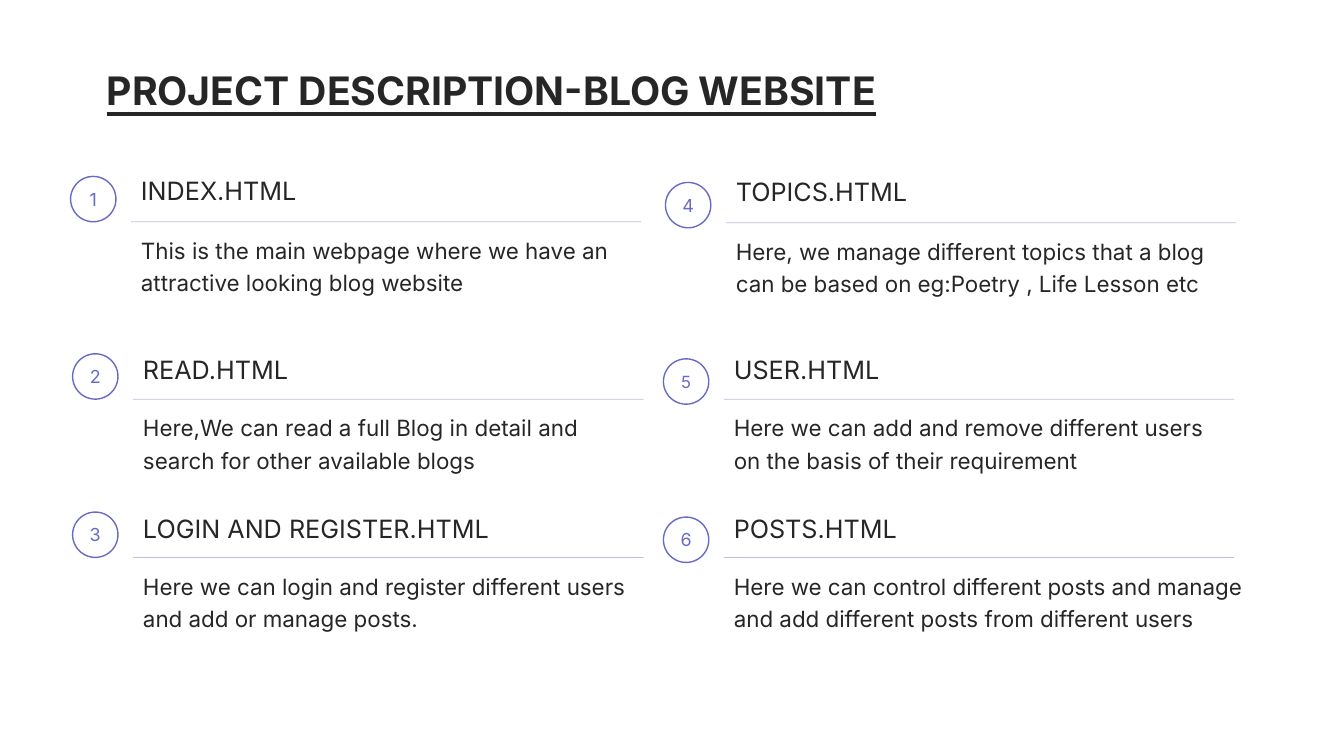
from lxml import etree
from pptx import Presentation
from pptx import util as u
from pptx.dml.color import RGBColor
from pptx.enum import shapes, text
from pptx.oxml import ns

PX = 9144
FONT = "Inter"
COLORS = {"ink": "262626", "accent": "6969C7", "paper": "FFFFFF"}
BADGE = 45
RULE_WIDTH = 506

SECTIONS = [
    dict(number=1, x=130, y=220, badge_rise=45, heading_rise=51, heading="INDEX.HTML",
         body="This is the main webpage where we have an attractive looking blog website"),
    dict(number=2, x=132, y=396, badge_rise=45, heading="READ.HTML",
         body="Here,We can read a full Blog in detail and search for other available blogs"),
    dict(number=3, x=132, y=553, badge_rise=45, heading="LOGIN AND REGISTER.HTML",
         body="Here we can login and register different users and add or manage posts."),
    dict(number=4, x=720, y=221, heading_rise=51, heading="TOPICS.HTML",
         body="Here, we manage different topics that a blog can be based on "
              "eg:Poetry , Life Lesson etc"),
    dict(number=5, x=718, y=396, badge_size=12, heading="USER.HTML",
         body="Here we can add and remove different users on the basis of their requirement"),
    dict(number=6, x=718, y=553, body_width=545, body_height=101, heading="POSTS.HTML",
         body="Here we can control different posts and manage and add different "
              "posts from different users"),
]


def px(*lengths):
    """Turn pixel lengths into EMU."""
    return [u.Emu(length * PX) for length in lengths]


def color(name):
    """Look up a palette colour."""
    return RGBColor.from_string(COLORS[name])


def write(shape, words, size, ink="ink", spacing=None):
    """Put one styled paragraph in a shape and return its run's font."""
    frame = shape.text_frame
    frame.word_wrap = True
    frame.text = words
    para = frame.paragraphs[0]
    if spacing:
        para.line_spacing = spacing
    font = para.runs[0].font
    font.name, font.size = FONT, u.Pt(size)
    font.color.rgb = color(ink)
    return font


def add_text(page, box, words, size, spacing=None):
    """Add a wrapping text box and return its font."""
    return write(page.shapes.add_textbox(*px(*box)), words, size, spacing=spacing)


def add_rule(page, x, y, width):
    """Draw a thin translucent horizontal rule."""
    rule = page.shapes.add_connector(shapes.MSO_CONNECTOR.STRAIGHT, *px(x, y, x + width, y))
    rule.line.width = u.Pt(0.5)
    rule.line.color.rgb = color("accent")
    properties = rule._element.spPr
    fill = properties.find(".//" + ns.qn("a:srgbClr"))
    etree.SubElement(fill, ns.qn("a:alpha"), val="44000")
    etree.SubElement(properties, ns.qn("a:effectLst"))


def add_badge(page, x, y, number, size):
    """Draw an outlined circle holding a section number."""
    badge = page.shapes.add_shape(shapes.MSO_SHAPE.OVAL, *px(x, y, BADGE, BADGE))
    badge.shadow.inherit = False
    badge.fill.background()
    badge.line.color.rgb = color("accent")
    badge.line.width = u.Pt(1)
    write(badge, str(number), size, "accent")
    badge.text_frame.vertical_anchor = text.MSO_ANCHOR.MIDDLE
    badge.text_frame.paragraphs[0].alignment = text.PP_ALIGN.CENTER


def add_section(page, x, y, number, heading, body, badge_rise=40, heading_rise=49,
                badge_size=12.8, body_width=RULE_WIDTH, body_height=86):
    """Place a numbered heading and description around a rule starting at x, y."""
    add_rule(page, x, y, RULE_WIDTH)
    add_text(page, (x, y - heading_rise, RULE_WIDTH, 45), heading, 18)
    add_text(page, (x, y + 5, body_width, body_height), body, 16, 1.2)
    add_badge(page, x - 60, y - badge_rise, number, badge_size)


def add_title(page, box):
    """Place the bold underlined slide title."""
    font = add_text(page, box, "PROJECT DESCRIPTION-BLOG WEBSITE", 28, 1.2)
    font.bold = font.underline = True


def main():
    """Build and save the slide."""
    deck = Presentation()
    deck.slide_width, deck.slide_height = px(1333, 750)
    page = deck.slides.add_slide(deck.slide_layouts[6])
    page.background.fill.solid()
    page.background.fill.fore_color.rgb = color("paper")
    add_title(page, (96, 52, 1141, 87))
    for section in SECTIONS:
        add_section(page, **section)
    deck.save("out.pptx")


if __name__ == "__main__":
    main()
